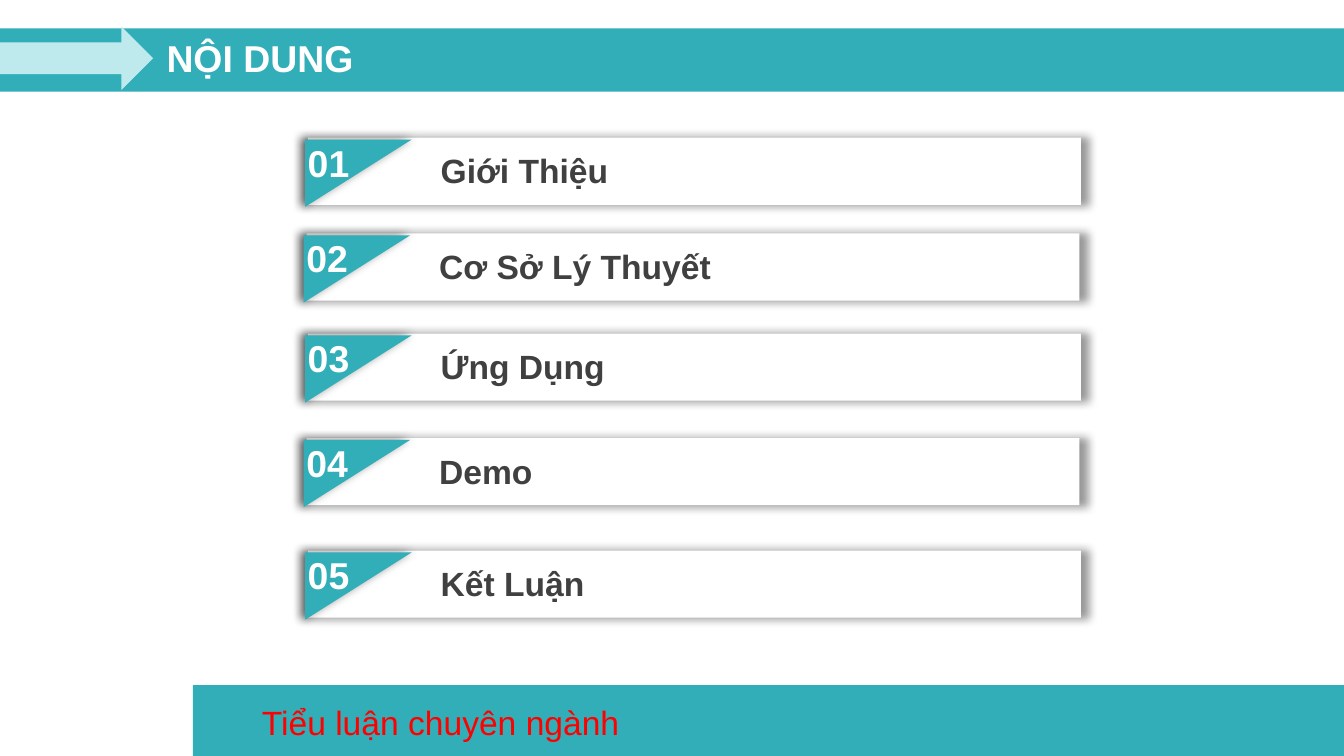
"""Build the agenda slide with five numbered cards."""
from lxml import etree
from pptx import Presentation
from pptx.dml.color import RGBColor
from pptx.enum.shapes import MSO_SHAPE
from pptx.enum.text import MSO_ANCHOR, PP_ALIGN
from pptx.oxml import parse_xml
from pptx.util import Pt

RECT, ARROW, TRIANGLE = MSO_SHAPE.RECTANGLE, MSO_SHAPE.RIGHT_ARROW, MSO_SHAPE.RIGHT_TRIANGLE
TOP, LEFT = MSO_ANCHOR.TOP, PP_ALIGN.LEFT

TITLE = "NỘI DUNG"
FOOTER = "Tiểu luận chuyên ngành"
AGENDA = [
    ("Giới Thiệu", 73.8),
    ("Cơ Sở Lý Thuyết", 125.1),
    ("Ứng Dụng", 178.7),
    ("Demo", 234.7),
    ("Kết Luận", 295),
]
THEME = {
    "font": "Arial", "teal": "32AEB8", "pale": "BEEAED", "white": "FFFFFF",
    "dark": "404040", "red": "FF0000", "large": 20, "normal": 18,
}
WIDTH, HEIGHT = 720, 405
CARD_X, CARD_W, CARD_H = 164.2, 414, 36
TRIANGLE_W = 57
SHADOW = (
    '<a:effectLst xmlns:a="http://schemas.openxmlformats.org/drawingml/2006/main">'
    '<a:outerShdw blurRad="63500" sx="102000" sy="102000" algn="ctr" rotWithShape="0">'
    '<a:srgbClr val="000000"><a:alpha val="40000"/></a:srgbClr>'
    "</a:outerShdw></a:effectLst>"
)


def add_box(s, kind, box, color, shadow=False):
    sp = s.shapes.add_shape(kind, *map(Pt, box))
    sp.fill.solid()
    sp.fill.fore_color.rgb = RGBColor.from_string(THEME[color])
    sp.line.fill.background()
    sp.shadow.inherit = False
    if shadow:
        effects = sp._element.spPr.find("{*}effectLst")
        effects.getparent().replace(effects, parse_xml(SHADOW))
    return sp


def set_text(sp, box, text, size, color, bold=True):
    sp.left, sp.top, sp.width, sp.height = map(Pt, box)
    tf = sp.text_frame
    tf.text = text
    tf.word_wrap = True
    tf.vertical_anchor = TOP
    p = tf.paragraphs[0]
    p.alignment = LEFT
    p.line_spacing = 1.0
    p.space_before = Pt(0)
    font = p.runs[0].font
    font.name, font.size, font.bold = THEME["font"], Pt(THEME[size]), bold
    font.color.rgb = RGBColor.from_string(THEME[color])


def add_text(s, box, *style):
    set_text(s.shapes.add_textbox(*map(Pt, box)), box, *style)


def add_card(s, number, label, x, y):
    add_box(s, RECT, (x, y, CARD_W, CARD_H), "white", True)
    shift = (TRIANGLE_W - CARD_H) / 2
    sp = add_box(s, TRIANGLE, (x - 1.5 + shift, y + 1 - shift, CARD_H, TRIANGLE_W), "teal", True)
    sp.rotation = 90
    add_text(s, (x - 7.2, y - 2.5, 42, 31.5), f"{number:02d}", "large", "white")
    add_text(s, (x + 64, y + 3.2, 306, 29), label, "normal", "dark")


def main():
    prs = Presentation()
    prs.slide_width, prs.slide_height = Pt(WIDTH), Pt(HEIGHT)
    s = prs.slides.add_slide(prs.slide_layouts[5])

    add_box(s, RECT, (103.4, 367, WIDTH - 103.4, HEIGHT - 367), "teal")
    add_text(s, (133.2, 372.4, 459.4, 29), FOOTER, "normal", "red", False)
    add_box(s, RECT, (0, 15.2, WIDTH, 34), "teal")
    add_box(s, ARROW, (0, 14.2, 82, 34), "pale")

    title = s.shapes.title
    set_text(title, (82, 15.4, 165, 31.5), TITLE, "large", "white")
    s.shapes._spTree.append(title._element)

    for i, (label, y) in enumerate(AGENDA):
        add_card(s, i + 1, label, CARD_X + 0.8 * (i % 2 == 0), y)

    prs.save("out.pptx")


if __name__ == "__main__":
    main()
